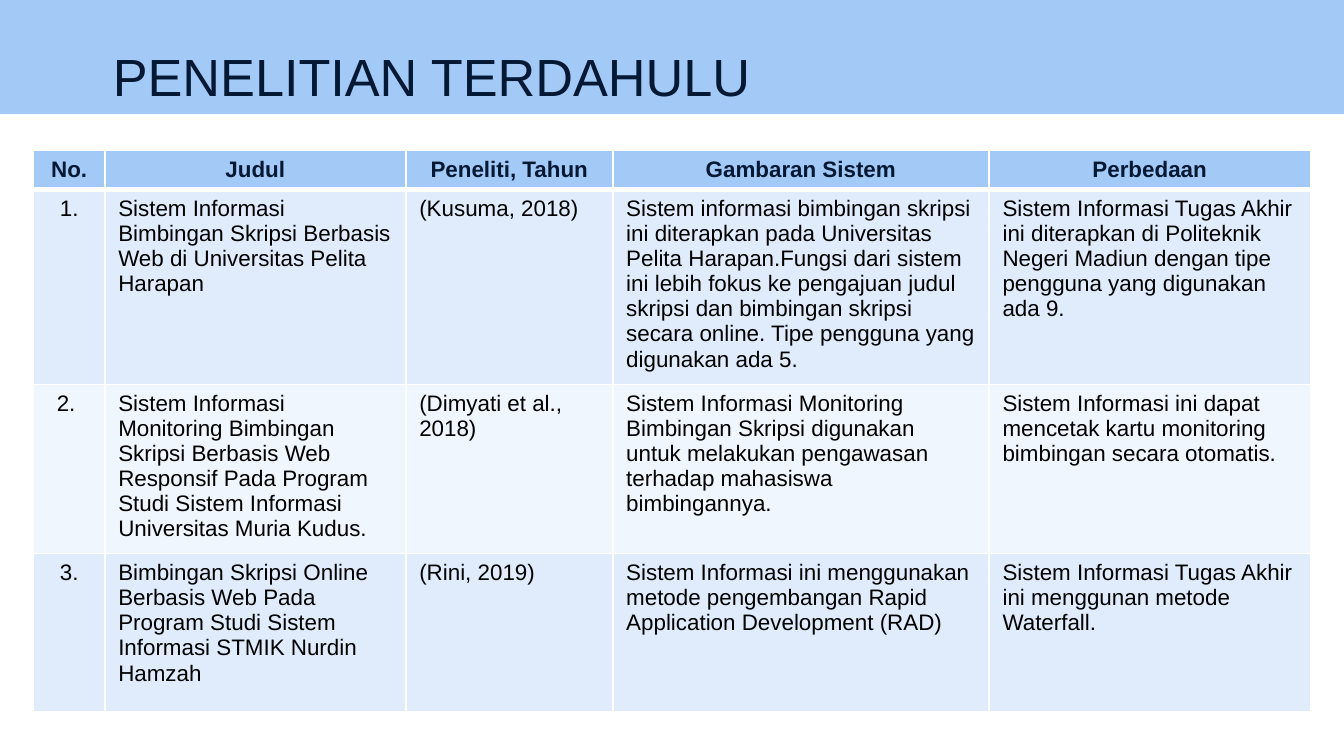
from lxml.etree import SubElement
from pptx import Presentation
from pptx.dml.color import RGBColor
from pptx.enum.shapes import MSO_SHAPE
from pptx.enum.text import MSO_ANCHOR as Anchor, MSO_AUTO_SIZE as AutoSize, PP_ALIGN as Align
from pptx.oxml.ns import qn
from pptx.util import Inches, Pt

COLORS = {
    "band": "A3CAF7", "navy": "051934", "black": "000000",
    "odd": "E0ECFC", "even": "F0F6FD", "white": "FFFFFF",
}
FONT = "Arial"
COLUMN_WIDTHS = [0.53, 2.24, 1.54, 2.8, 2.39]
ROW_HEIGHTS = [0.29, 1.45, 1.26, 1.18]
STUDIES = [
    ["No.", "Judul", "Peneliti, Tahun", "Gambaran Sistem", "Perbedaan"],
    ["1.",
     "Sistem Informasi Bimbingan Skripsi Berbasis Web di Universitas Pelita Harapan",
     "(Kusuma, 2018)",
     "Sistem informasi bimbingan skripsi ini diterapkan pada Universitas Pelita "
     "Harapan.Fungsi dari sistem ini lebih fokus ke pengajuan judul skripsi dan "
     "bimbingan skripsi secara online. Tipe pengguna yang digunakan ada 5.",
     "Sistem Informasi Tugas Akhir ini diterapkan di Politeknik Negeri Madiun "
     "dengan tipe pengguna yang digunakan ada 9. "],
    ["2. ",
     "Sistem Informasi Monitoring Bimbingan Skripsi Berbasis Web Responsif Pada "
     "Program Studi Sistem Informasi Universitas Muria Kudus.",
     "(Dimyati et al., 2018)",
     "Sistem Informasi Monitoring Bimbingan Skripsi digunakan untuk melakukan "
     "pengawasan terhadap mahasiswa bimbingannya.",
     "Sistem Informasi ini dapat mencetak kartu monitoring bimbingan secara otomatis."],
    ["3.",
     "Bimbingan Skripsi Online Berbasis Web Pada Program Studi Sistem Informasi "
     "STMIK Nurdin Hamzah",
     "(Rini, 2019)",
     "Sistem Informasi ini menggunakan metode pengembangan Rapid Application "
     "Development (RAD) ",
     "Sistem Informasi Tugas Akhir ini menggunan metode Waterfall."],
]


def color(name):
    """Return the named palette colour."""
    return RGBColor.from_string(COLORS[name])


def add_text(paragraph, text, size, color_name, bold=False, align=Align.LEFT):
    """Add one formatted run to a paragraph."""
    paragraph.alignment = align
    run = paragraph.add_run()
    run.text = text
    run.font.name = FONT
    run.font.size = Pt(size)
    run.font.bold = bold
    run.font.color.rgb = color(color_name)


def add_header(slide, left, top, width, height):
    """Place the coloured band and the title that sits on its lower edge."""
    band = slide.shapes.add_shape(MSO_SHAPE.RECTANGLE, Inches(left), Inches(top),
                                  Inches(width), Inches(height))
    band.shadow.inherit = False
    band.fill.solid()
    band.fill.fore_color.rgb = color("band")
    band.line.fill.background()

    title = slide.shapes.title
    slide.shapes._spTree.append(title._element)
    title.left, title.top = Inches(left + 0.74), Inches(top + 0.23)
    title.width, title.height = Inches(7.73), Inches(0.63)
    frame = title.text_frame
    frame.word_wrap = True
    frame.auto_size = AutoSize.NONE
    frame.vertical_anchor = Anchor.TOP
    frame.margin_left = frame.margin_right = Inches(0.1)
    frame.margin_top = frame.margin_bottom = Inches(0.1)
    add_text(frame.paragraphs[0], "PENELITIAN TERDAHULU", 28, "navy")


def set_borders(cell, top, bottom):
    """Draw white cell borders, with top and bottom widths in points."""
    properties = cell._tc.get_or_add_tcPr()
    widths = {"a:lnL": 1, "a:lnR": 1, "a:lnT": top, "a:lnB": bottom}
    for index, (tag, width) in enumerate(widths.items()):
        line = SubElement(properties, qn(tag), w=str(Pt(width)))
        fill = SubElement(line, qn("a:solidFill"))
        SubElement(fill, qn("a:srgbClr"), val=COLORS["white"])
        properties.insert(index, line)


def add_studies_table(slide, left, top):
    """Place the table of earlier studies with its corner at left, top."""
    table = slide.shapes.add_table(
        len(ROW_HEIGHTS), len(COLUMN_WIDTHS), Inches(left), Inches(top),
        Inches(sum(COLUMN_WIDTHS)), Inches(sum(ROW_HEIGHTS))).table
    for column, width in zip(table.columns, COLUMN_WIDTHS):
        column.width = Inches(width)
    for row, height in zip(table.rows, ROW_HEIGHTS):
        row.height = Inches(height)

    for row_index, texts in enumerate(STUDIES):
        is_header = row_index == 0
        fill_name = "band" if is_header else "odd" if row_index % 2 else "even"
        for column_index, text in enumerate(texts):
            cell = table.cell(row_index, column_index)
            cell.fill.solid()
            cell.fill.fore_color.rgb = color(fill_name)
            cell.vertical_anchor = Anchor.MIDDLE if is_header else Anchor.TOP
            centred = is_header or column_index == 0
            add_text(cell.text_frame.paragraphs[0], text, 12,
                     "navy" if is_header else "black", is_header,
                     Align.CENTER if centred else Align.LEFT)
            set_borders(cell, 3 if row_index == 1 else 1, 3 if is_header else 1)


def build_presentation():
    """Build and save the one-slide 16:9 presentation."""
    presentation = Presentation()
    presentation.slide_width = Inches(10)
    presentation.slide_height = Inches(10) * 9 // 16
    slide = presentation.slides.add_slide(presentation.slide_layouts[5])
    add_header(slide, 0, 0, 10, 0.85)
    add_studies_table(slide, 0.25, 1.12)
    presentation.save("out.pptx")


build_presentation()
